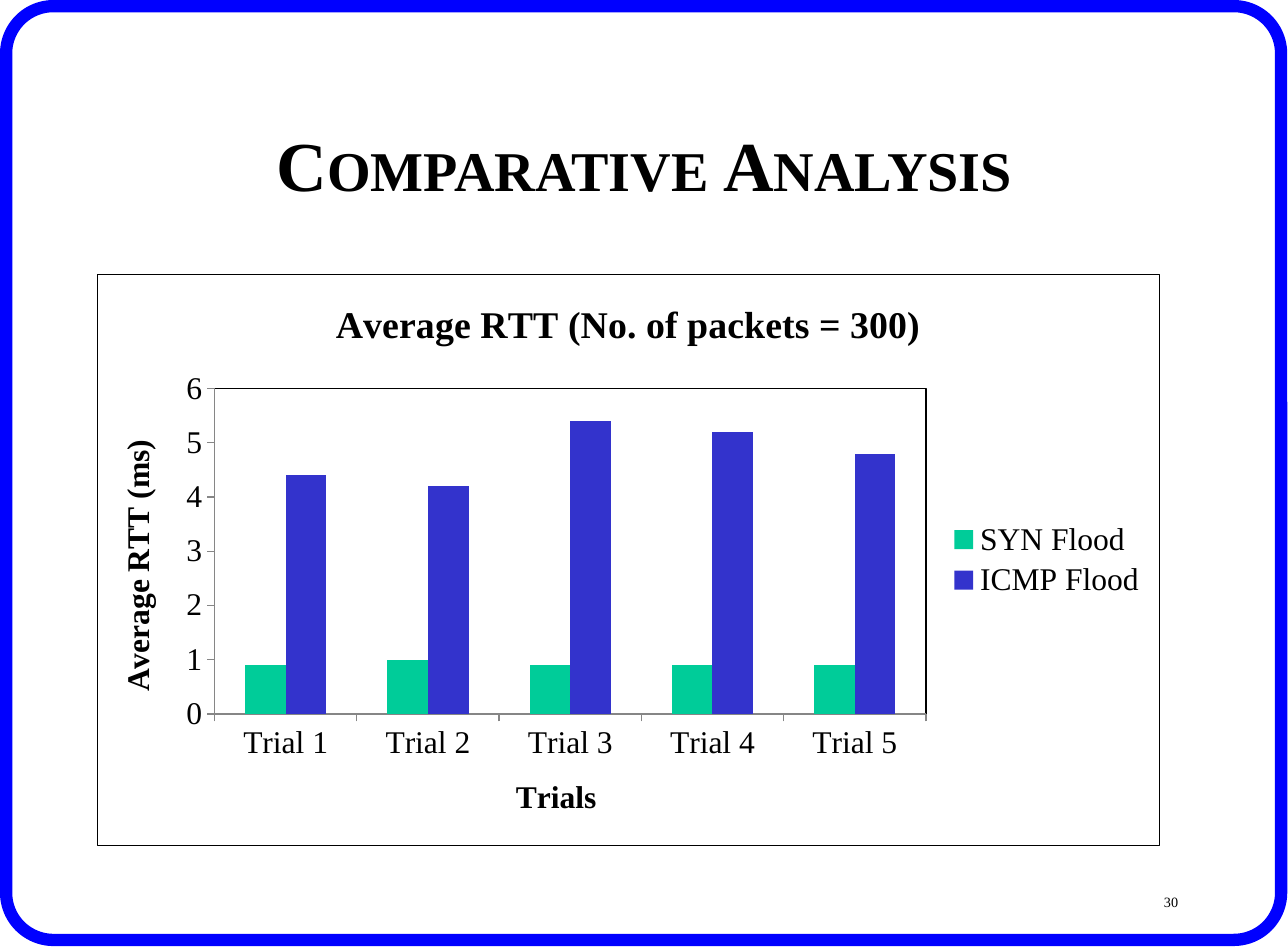
import pptx
import pptx.chart.data
import pptx.dml.color
import pptx.enum.chart
import pptx.enum.shapes
import pptx.enum.text
import pptx.oxml
import pptx.oxml.ns
import pptx.util

Pt = pptx.util.Pt
FONT = "Times New Roman"
COLOURS = {
    "frame": "0000FF",
    "text": "000000",
    "axis": "868686",
    "syn": "00CC99",
    "icmp": "3333CC",
}


def colour(name):
    return pptx.dml.color.RGBColor.from_string(COLOURS[name])


def format_font(font, size, bold=False):
    font.name = FONT
    font.size = Pt(size)
    font.bold = bold
    font.color.rgb = colour("text")


def add_text(paragraph, text, *, size, bold=False, baseline=None):
    run = paragraph.add_run()
    run.text = text
    format_font(run.font, size, bold)
    if baseline is not None:
        run._r.get_or_add_rPr().set("baseline", str(baseline))


def chart_xml(body):
    namespaces = pptx.oxml.ns.nsdecls("c", "a")
    tag, rest = body.split(">", 1)
    return pptx.oxml.parse_xml(f"{tag} {namespaces}>{rest}")


def outline_xml(width):
    return chart_xml(
        f'<c:spPr><a:noFill/><a:ln w="{Pt(width)}"><a:solidFill>'
        f'<a:srgbClr val="{COLOURS["text"]}"/></a:solidFill></a:ln></c:spPr>'
    )


class SlideBuilder:
    def __init__(self, slide):
        self.slide = slide

    def frame(self, left, top, width, height, thickness, radius):
        shape = self.slide.shapes.add_shape(
            pptx.enum.shapes.MSO_SHAPE.ROUNDED_RECTANGLE,
            Pt(left), Pt(top), Pt(width), Pt(height),
        )
        shape.adjustments[0] = radius / height
        shape.shadow.inherit = False
        shape.fill.background()
        shape.line.color.rgb = colour("frame")
        shape.line.width = Pt(thickness)

    def text(self, left, top, width, height, alignment, pieces, **style):
        shape = self.slide.shapes.add_textbox(Pt(left), Pt(top), Pt(width), Pt(height))
        text_frame = shape.text_frame
        text_frame.word_wrap = True
        text_frame.vertical_anchor = pptx.enum.text.MSO_ANCHOR.MIDDLE
        paragraph = text_frame.paragraphs[0]
        paragraph.alignment = alignment
        for text, size in pieces:
            add_text(paragraph, text, size=size, **style)

    def column_chart(self, left, top, width, height, title, categories, series, layout):
        data = pptx.chart.data.CategoryChartData()
        data.categories = categories
        for name, values, _ in series:
            data.add_series(name, values)
        chart = self.slide.shapes.add_chart(
            pptx.enum.chart.XL_CHART_TYPE.COLUMN_CLUSTERED,
            Pt(left), Pt(top), Pt(width), Pt(height), data,
        ).chart
        format_font(chart.font, 18)

        # Title and legend
        chart.has_title = True
        add_text(chart.chart_title.text_frame.paragraphs[0], title, size=21.6, bold=True)
        chart.chart_title.include_in_layout = False
        chart.has_legend = True
        chart.legend.position = pptx.enum.chart.XL_LEGEND_POSITION.RIGHT
        chart.legend.include_in_layout = False
        format_font(chart.legend.font, 18)

        # Columns
        plot = chart.plots[0]
        plot.gap_width = 150
        plot.overlap = 0
        plot.vary_by_categories = False
        for column, (_, _, fill) in zip(plot.series, series):
            column.format.fill.solid()
            column.format.fill.fore_color.rgb = colour(fill)

        # Plot area position and borders
        plot_area = chart._chartSpace.chart.plotArea
        for old_layout in plot_area.findall(pptx.oxml.ns.qn("c:layout")):
            plot_area.remove(old_layout)
        sizes = "".join(f'<c:{key} val="{value}"/>' for key, value in layout.items())
        plot_area.insert(0, chart_xml(
            '<c:layout><c:manualLayout><c:layoutTarget val="inner"/>'
            f'<c:xMode val="edge"/><c:yMode val="edge"/>{sizes}'
            '</c:manualLayout></c:layout>'
        ))
        plot_area.append(outline_xml(0.75))
        chart._chartSpace.chart.addnext(outline_xml(0.75))
        return chart

    def axis(self, axis, title):
        axis.has_title = True
        add_text(axis.axis_title.text_frame.paragraphs[0], title, size=18, bold=True)
        axis.has_major_gridlines = False
        axis.major_tick_mark = pptx.enum.chart.XL_TICK_MARK.OUTSIDE
        axis.format.line.color.rgb = colour("axis")
        axis.format.line.width = Pt(0.75)
        format_font(axis.tick_labels.font, 18)


def main():
    presentation = pptx.Presentation()
    presentation.slide_width = Pt(734.4)
    presentation.slide_height = Pt(540)
    slide = presentation.slides.add_slide(presentation.slide_layouts[6])
    builder = SlideBuilder(slide)
    align = pptx.enum.text.PP_ALIGN

    # Slide border
    builder.frame(3.5, 3.5, 727, 532.5, thickness=7, radius=27)

    # Page number
    builder.text(526.3, 491.8, 152.6, 36, align.RIGHT, [("30", 14)], baseline=-25000)

    # Title in small capitals
    builder.text(
        55.4, 48.2, 624.2, 90, align.CENTER,
        [("C", 40), ("OMPARATIVE ", 32), ("A", 40), ("NALYSIS", 32)], bold=True,
    )

    # Chart
    chart = builder.column_chart(
        55.4, 156.2, 606.2, 326.2,
        title="Average RTT (No. of packets = 300)",
        categories=[f"Trial {number}" for number in range(1, 6)],
        series=[
            ("SYN Flood", (0.9, 1, 0.9, 0.9, 0.9), "syn"),
            ("ICMP Flood", (4.4, 4.2, 5.4, 5.2, 4.8), "icmp"),
        ],
        layout={"x": 0.11, "y": 0.2, "w": 0.67, "h": 0.57},
    )
    builder.axis(chart.category_axis, "Trials")
    builder.axis(chart.value_axis, "Average RTT (ms)")
    chart.value_axis.minimum_scale = 0
    chart.value_axis.maximum_scale = 6
    chart.value_axis.major_unit = 1

    presentation.save("out.pptx")


if __name__ == "__main__":
    main()
